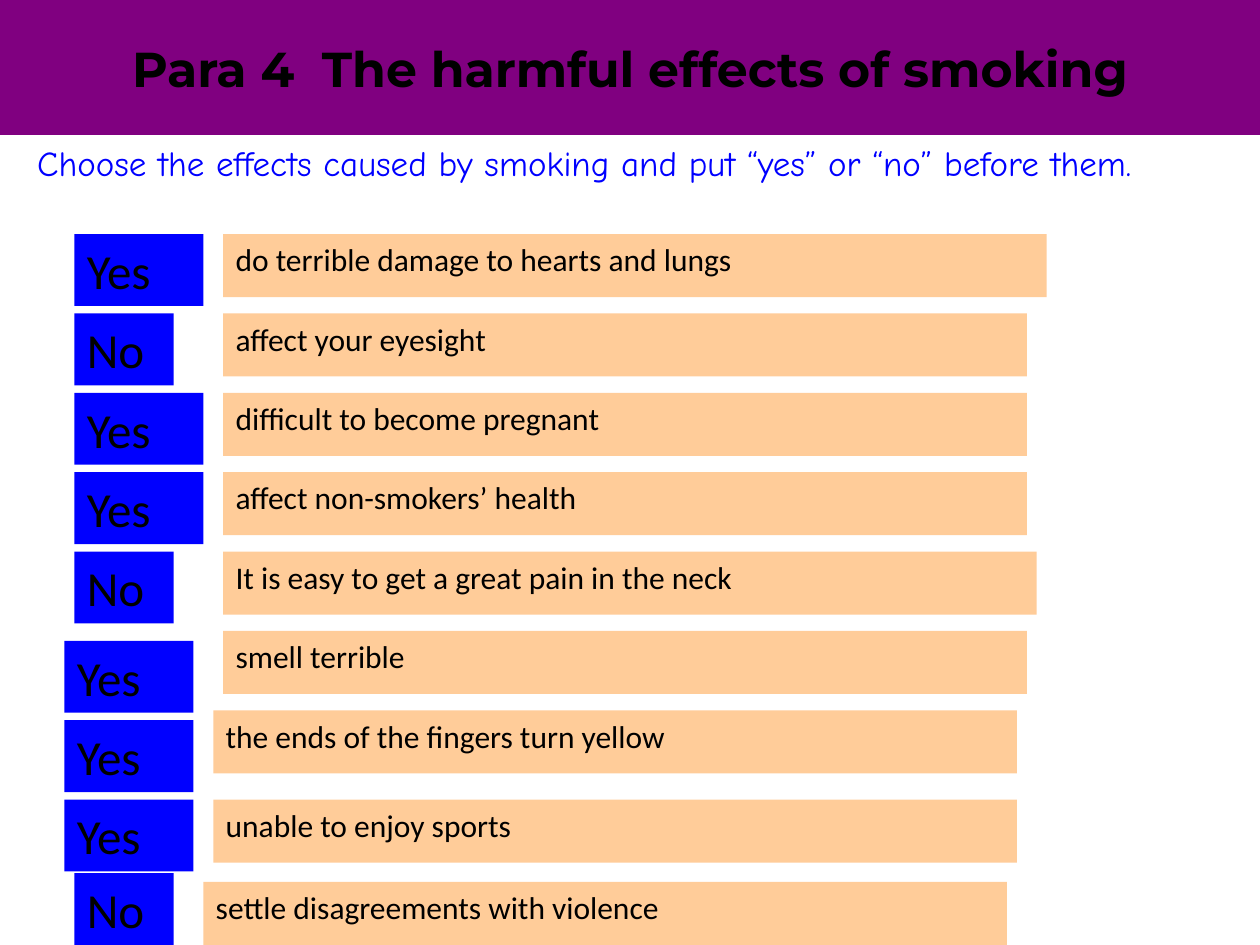
"""Build a slide quizzing readers on the harmful effects of smoking."""
from dataclasses import dataclass

from pptx import Presentation
from pptx.dml.color import RGBColor
from pptx.enum.shapes import MSO_SHAPE
from pptx.enum.text import MSO_ANCHOR, MSO_AUTO_SIZE, PP_ALIGN
from pptx.shapes.autoshape import Shape
from pptx.slide import Slide
from pptx.util import Cm, Pt

COLORS = {
    "banner": "800080",
    "effect": "FFCC99",
    "answer": "0000FF",
    "instruction": "0000FF",
    "text": "000000",
}
FIRST_TOP = 4.72
ROW_STEP = 1.6
ANSWER_WIDTHS = {"Yes": 2.6, "No": 2.0}


@dataclass(frozen=True)
class EffectRow:
    answer: str
    effect: str
    effect_width: float = 16.2
    answer_left: float = 1.5
    effect_left: float = 4.5
    answer_shift: float = 0
    effect_shift: float = 0


ROWS = [
    EffectRow("Yes", "do terrible damage to hearts and lungs", 16.6),
    EffectRow("No", "affect your eyesight"),
    EffectRow("Yes", "difficult to become pregnant"),
    EffectRow("Yes", "affect non-smokers’ health"),
    EffectRow("No", "It is easy to get a great pain in the neck", 16.4),
    EffectRow("Yes", "smell terrible", answer_left=1.3, answer_shift=0.2),
    EffectRow("Yes", "the ends of the fingers turn yellow",
              answer_left=1.3, effect_left=4.3, answer_shift=0.2),
    EffectRow("Yes", "unable to enjoy sports", answer_left=1.3,
              effect_left=4.3, answer_shift=0.2, effect_shift=0.2),
    EffectRow("No", "settle disagreements with violence",
              effect_left=4.1, answer_shift=0.08, effect_shift=0.26),
]


def color(name: str) -> RGBColor:
    return RGBColor.from_string(COLORS[name])


def place(shape: Shape, left: float, top: float, width: float, height: float) -> None:
    shape.left, shape.top = Cm(left), Cm(top)
    shape.width, shape.height = Cm(width), Cm(height)


def write(shape: Shape, text: str, font_name: str, size: int,
          color_name: str = "text", bold: bool = False,
          alignment: PP_ALIGN = PP_ALIGN.LEFT,
          anchor: MSO_ANCHOR = MSO_ANCHOR.TOP) -> None:
    frame = shape.text_frame
    frame.word_wrap = True
    frame.auto_size = MSO_AUTO_SIZE.NONE
    frame.vertical_anchor = anchor
    paragraph = frame.paragraphs[0]
    paragraph.text = text
    paragraph.alignment = alignment
    font = paragraph.font
    font.name, font.size, font.bold = font_name, Pt(size), bold
    font.color.rgb = color(color_name)


def fill(shape: Shape, color_name: str) -> None:
    shape.fill.solid()
    shape.fill.fore_color.rgb = color(color_name)


def add_label(slide: Slide, text: str, color_name: str, size: int,
              left: float, top: float, width: float, height: float) -> None:
    shape = slide.shapes.add_shape(
        MSO_SHAPE.RECTANGLE, Cm(left), Cm(top), Cm(width), Cm(height))
    shape.shadow.inherit = False
    shape.line.fill.background()
    fill(shape, color_name)
    write(shape, text, "Calibri", size)


def add_row(slide: Slide, row: EffectRow, top: float) -> None:
    add_label(slide, row.effect, "effect", 18, row.effect_left,
              top + row.effect_shift, row.effect_width, 1.27)
    add_label(slide, row.answer, "answer", 28, row.answer_left,
              top + row.answer_shift, ANSWER_WIDTHS[row.answer], 1.45)


def main() -> None:
    presentation = Presentation()
    presentation.slide_width, presentation.slide_height = Cm(25.4), Cm(19.05)
    slide = presentation.slides.add_slide(presentation.slide_layouts[5])

    title = slide.shapes.title
    place(title, 0, 0, 25.4, 2.72)
    fill(title, "banner")
    write(title, "Para 4  The harmful effects of smoking", "Montserrat", 28,
          bold=True, alignment=PP_ALIGN.CENTER, anchor=MSO_ANCHOR.MIDDLE)

    instruction = slide.shapes.add_textbox(Cm(0.5), Cm(2.72), Cm(24.9), Cm(1.95))
    write(instruction,
          "Choose the effects caused by smoking and put “yes” or “no” before them.",
          "Comic Neue", 20, "instruction")

    for index, row in enumerate(ROWS):
        add_row(slide, row, FIRST_TOP + index * ROW_STEP)

    presentation.save("out.pptx")


if __name__ == "__main__":
    main()
